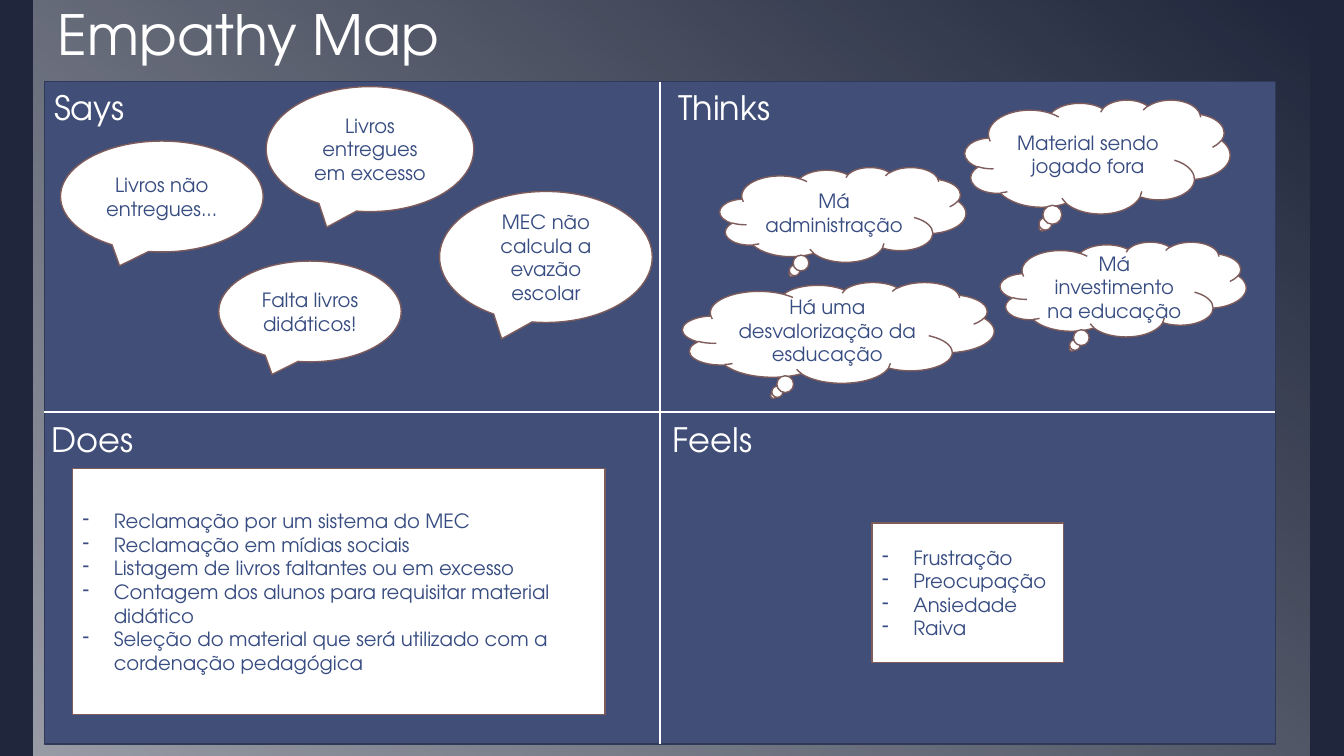
from lxml import etree
from pptx import Presentation
from pptx.dml.color import RGBColor
from pptx.enum.shapes import MSO_CONNECTOR, MSO_SHAPE
from pptx.enum.text import MSO_ANCHOR, MSO_AUTO_SIZE, PP_ALIGN
from pptx.oxml.ns import qn
from pptx.util import Pt

PX = 9144
FONT = "TeX Gyre Adventor"
COLOURS = {
    "night": "20273C",
    "board": "414E77",
    "board_edge": "303A58",
    "white": "FFFFFF",
    "bubble_edge": "7E5C5C",
    "ink": "374C81",
}

RECTANGLE = MSO_SHAPE.RECTANGLE
SPEECH = MSO_SHAPE.OVAL_CALLOUT
THOUGHT = MSO_SHAPE.CLOUD_CALLOUT
NOTE = MSO_SHAPE.FLOWCHART_PROCESS
STRAIGHT = MSO_CONNECTOR.STRAIGHT
LEFT, CENTER = PP_ALIGN.LEFT, PP_ALIGN.CENTER
MIDDLE, BOTTOM = MSO_ANCHOR.MIDDLE, MSO_ANCHOR.BOTTOM
NO_FIT, GROW = MSO_AUTO_SIZE.NONE, MSO_AUTO_SIZE.SHAPE_TO_FIT_TEXT

BOARD = (44, 81, 1221, 657)
MIDDLE_X, MIDDLE_Y = 655, 409
BULLET_INDENT = 31

LABELS = [
    ("Says", (44, 81, 106, 50)),
    ("Thinks", (663, 81, 126, 50)),
    ("Feels", (657, 411, 106, 50)),
    ("Does", (41, 411, 106, 50)),
]
SAYS = [
    ("Livros não entregues...", (60, 140, 201, 110)),
    ("Livros entregues em excesso", (264, 86, 206, 124)),
    ("MEC não calcula a evazão escolar", (436, 190, 211, 130)),
    ("Falta livros didáticos!", (217, 259, 181, 100)),
]
THINKS = [
    ("Má administração", (714, 166, 244, 94)),
    ("Material sendo jogado fora", (957, 99, 263, 113)),
    ("Má investimento na educação", (992, 240, 244, 94)),
    ("Há uma desvalorização da esducação", (677, 280, 309, 100)),
]
DOES = [
    "Reclamação por um sistema do MEC",
    "Reclamação em mídias sociais",
    "Listagem de livros faltantes ou em excesso",
    "Contagem dos alunos para requisitar material didático",
    "Seleção do material que será utilizado com a cordenação pedagógica",
]
FEELS = ["Frustração", "Preocupação", "Ansiedade", "Raiva"]


def colour(name):
    return RGBColor.from_string(COLOURS[name])


def emu(box):
    return [length * PX for length in box]


def add_run(paragraph, text, size, colour_name):
    run = paragraph.add_run()
    run.text = text
    run.font.name = FONT
    run.font.size = Pt(size)
    run.font.color.rgb = colour(colour_name)


def add_box(slide, preset, box, fill, edge):
    shape = slide.shapes.add_shape(preset, *emu(box))
    shape.shadow.inherit = False
    shape.fill.solid()
    shape.fill.fore_color.rgb = colour(fill)
    shape.line.color.rgb = colour(edge)
    shape.line.width = Pt(1)
    shape.text_frame.word_wrap = True
    shape.text_frame.vertical_anchor = MIDDLE
    return shape


def add_backdrop(slide):
    slide.background.fill.solid()
    slide.background.fill.fore_color.rgb = colour("night")
    sheet = slide.shapes.add_shape(RECTANGLE, *emu((33, 0, 1266, 750)))
    sheet.shadow.inherit = False
    sheet.line.fill.background()
    sheet.fill.gradient()
    sheet.fill.gradient_angle = 230
    for stop in sheet.fill.gradient_stops:
        stop.color.rgb = colour("white")
    stops = sheet._element.spPr.iter(qn("a:srgbClr"))
    for stop_colour, opacity in zip(stops, (0, 55)):
        alpha = etree.SubElement(stop_colour, qn("a:alpha"))
        alpha.set("val", str(opacity * 1000))
    slide.shapes._spTree.insert(2, sheet._element)


def set_title(slide, text):
    title = slide.shapes.title
    title.left, title.top, title.width, title.height = emu((44, 1, 1111, 72))
    frame = title.text_frame
    frame.auto_size = NO_FIT
    frame.word_wrap = True
    frame.vertical_anchor = BOTTOM
    frame.margin_left = frame.margin_right = 13 * PX
    frame.margin_top = frame.margin_bottom = 7 * PX
    paragraph = frame.paragraphs[0]
    paragraph.alignment = LEFT
    paragraph.line_spacing = 0.85
    add_run(paragraph, text, 39.6, "white")


def add_divider(slide, start, end):
    line = slide.shapes.add_connector(STRAIGHT, *emu(start + end))
    line.line.color.rgb = colour("white")
    line.line.width = Pt(1.5)
    etree.SubElement(line._element.spPr, qn("a:effectLst"))


def add_label(slide, text, box):
    frame = slide.shapes.add_textbox(*emu(box)).text_frame
    frame.word_wrap = True
    frame.auto_size = GROW
    add_run(frame.paragraphs[0], text, 24, "white")


def add_bubble(slide, preset, text, box):
    bubble = add_box(slide, preset, box, "white", "bubble_edge")
    paragraph = bubble.text_frame.paragraphs[0]
    paragraph.alignment = CENTER
    add_run(paragraph, text, 14, "ink")


def add_note(slide, items, box):
    frame = add_box(slide, NOTE, box, "white", "bubble_edge").text_frame
    for index, item in enumerate(items):
        paragraph = frame.add_paragraph() if index else frame.paragraphs[0]
        paragraph.alignment = LEFT
        properties = paragraph._p.get_or_add_pPr()
        properties.set("marL", str(BULLET_INDENT * PX))
        properties.set("indent", str(-BULLET_INDENT * PX))
        etree.SubElement(properties, qn("a:buChar")).set("char", "-")
        add_run(paragraph, item, 14, "ink")


def main():
    presentation = Presentation()
    presentation.slide_width, presentation.slide_height = emu((1333, 750))
    slide = presentation.slides.add_slide(presentation.slide_layouts[5])

    add_backdrop(slide)
    set_title(slide, "Empathy Map")
    add_box(slide, RECTANGLE, BOARD, "board", "board_edge")
    left, top, width, height = BOARD
    add_divider(slide, (MIDDLE_X, top), (MIDDLE_X, top + height))
    add_divider(slide, (left, MIDDLE_Y), (left + width, MIDDLE_Y))

    for text, box in LABELS:
        add_label(slide, text, box)
    for preset, bubbles in ((SPEECH, SAYS), (THOUGHT, THINKS)):
        for text, box in bubbles:
            add_bubble(slide, preset, text, box)
    add_note(slide, DOES, (72, 465, 528, 244))
    add_note(slide, FEELS, (865, 519, 190, 138))

    presentation.save("out.pptx")


if __name__ == "__main__":
    main()
